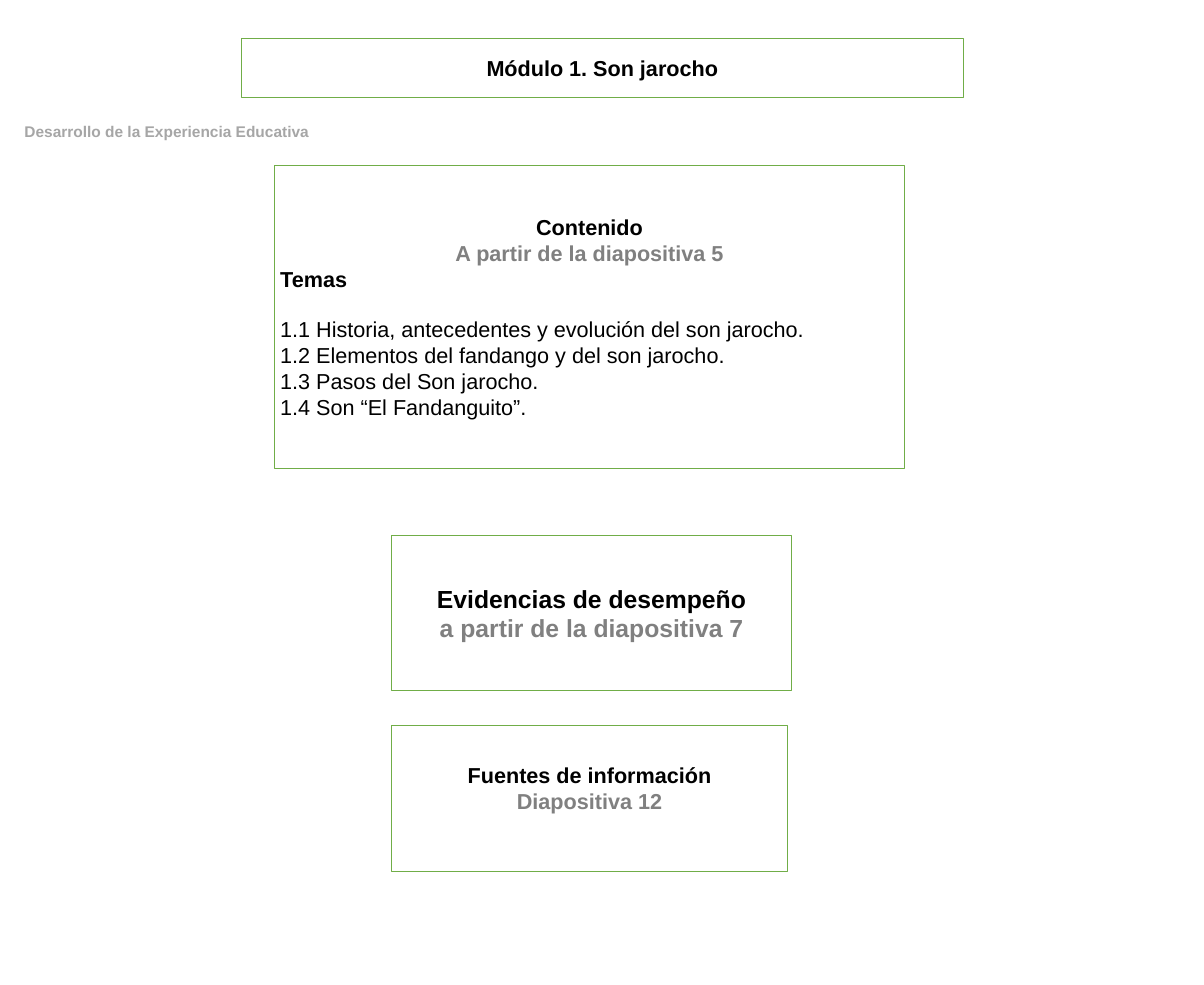
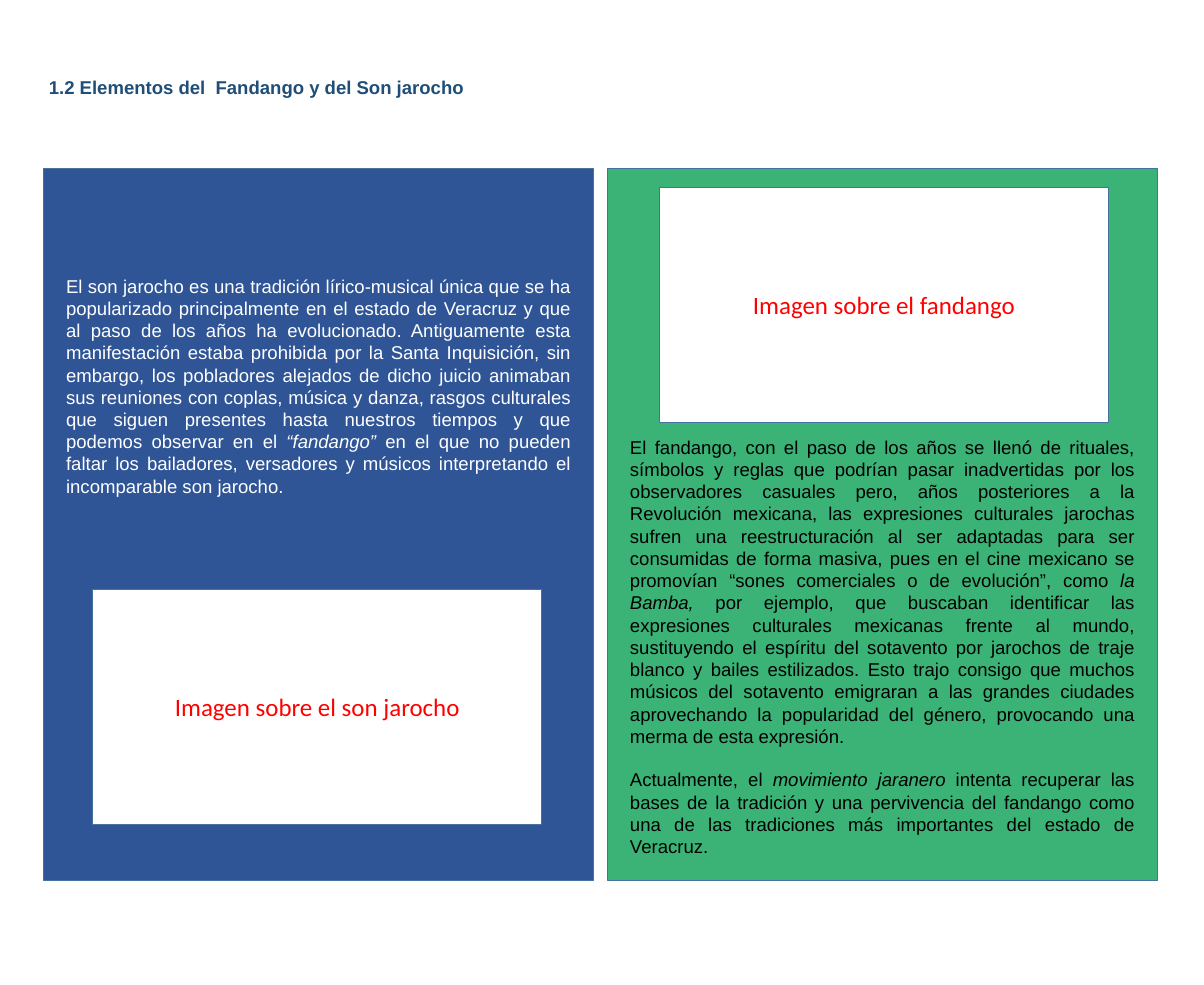
from dataclasses import dataclass

from pptx import Presentation
from pptx.dml.color import RGBColor
from pptx.enum.shapes import MSO_SHAPE
from pptx.enum.text import MSO_ANCHOR, PP_ALIGN
from pptx.util import Pt

PX = 9144  # EMU per px, 100 px to the inch
SLIDE_W, SLIDE_H = 2165, 1772

WHITE = RGBColor(0xFF, 0xFF, 0xFF)
BLACK = RGBColor(0x00, 0x00, 0x00)
GRAY = RGBColor(0x80, 0x80, 0x80)
LIGHT_GRAY = RGBColor(0xA6, 0xA6, 0xA6)
RED = RGBColor(0xFF, 0x00, 0x00)
NAVY = RGBColor(0x1F, 0x4E, 0x79)
BLUE = RGBColor(0x2F, 0x55, 0x97)
GREEN = RGBColor(0x3B, 0xB3, 0x77)
GREEN_EDGE = RGBColor(0x70, 0xAD, 0x47)
BLUE_EDGE = RGBColor(0x43, 0x73, 0x9E)


@dataclass
class Line:
    """One paragraph; words between asterisks are italic."""
    text: str
    size: float
    color: RGBColor = BLACK
    bold: bool = False
    align: PP_ALIGN = PP_ALIGN.CENTER
    before: float = 0
    face: str = "Arial"


def write(shape, lines):
    frame = shape.text_frame
    frame.word_wrap = True
    frame.vertical_anchor = MSO_ANCHOR.MIDDLE
    for index, line in enumerate(lines):
        paragraph = frame.paragraphs[0] if index == 0 else frame.add_paragraph()
        paragraph.alignment = line.align
        if line.before:
            paragraph.space_before = Pt(line.before)
        paragraph.font.name = line.face
        paragraph.font.size = Pt(line.size)
        paragraph.font.bold = line.bold
        paragraph.font.color.rgb = line.color
        for position, part in enumerate(line.text.split("*")):
            run = paragraph.add_run()
            run.text = part
            if position % 2:
                run.font.italic = True


def add_text(slide, box, lines):
    write(slide.shapes.add_textbox(*(v * PX for v in box)), lines)


def add_frame(slide, box, edge, fill=WHITE, lines=()):
    frame = slide.shapes.add_shape(MSO_SHAPE.RECTANGLE, *(v * PX for v in box))
    frame.shadow.inherit = False
    frame.fill.solid()
    frame.fill.fore_color.rgb = fill
    frame.line.color.rgb = edge
    frame.line.width = Pt(1)
    write(frame, lines)
    return frame


def heading_pair(heading, reference, size):
    return [Line(heading, size, bold=True), Line(reference, size, GRAY, bold=True)]


def build_module_index(slide):
    # Module title and section label
    add_frame(slide, (434, 69, 1298, 107), GREEN_EDGE,
              lines=[Line("Módulo 1. Son jarocho", 28, bold=True)])
    add_text(slide, (0, 212, 600, 50),
             [Line("Desarrollo de la Experiencia Educativa", 20, LIGHT_GRAY, bold=True)])

    # Contents
    topics = [
        "1.1 Historia, antecedentes y evolución del son jarocho.",
        "1.2 Elementos del fandango y del son jarocho.",
        "1.3 Pasos del Son jarocho.",
        "1.4 Son “El Fandanguito”.",
    ]
    contents = heading_pair("Contenido", "A partir de la diapositiva 5", 28)
    contents.append(Line("Temas", 28, bold=True, align=PP_ALIGN.LEFT))
    contents += [Line(topic, 28, align=PP_ALIGN.LEFT, before=0 if i else 32.2)
                 for i, topic in enumerate(topics)]
    add_frame(slide, (494, 297, 1132, 546), GREEN_EDGE, lines=contents)

    # Sources, set a little above the middle, and evidence
    sources = add_frame(slide, (704, 1305, 712, 263), GREEN_EDGE,
                        lines=heading_pair("Fuentes de información", "Diapositiva 12", 28))
    sources.text_frame.margin_bottom = 43 * PX
    add_frame(slide, (704, 964, 720, 278), GREEN_EDGE,
              lines=heading_pair("Evidencias de desempeño", "a partir de la diapositiva 7", 32))


def add_panel(slide, box, fill, body, body_top, body_height, color,
              caption, caption_left, caption_top):
    """Coloured panel with running text and a captioned image frame."""
    left, top, width, height = box
    inset = 31
    add_frame(slide, box, BLUE_EDGE, fill)
    add_text(slide, (left + inset, top + body_top, width - 2 * inset, body_height),
             [Line(text, 24, color, align=PP_ALIGN.JUSTIFY, before=27.6 if i else 0)
              for i, text in enumerate(body)])
    add_frame(slide, (left + caption_left, top + caption_top, 807, 423), BLUE_EDGE,
              lines=[Line(caption, 32.3, RED, face="Calibri")])


def build_topic(slide):
    left, top, width, height, gap = 78, 303, 989, 1280, 25
    add_text(slide, (left, 100, 2 * width + gap, 113),
             [Line("1.2 Elementos del  Fandango y del Son jarocho", 24, NAVY,
                   bold=True, align=PP_ALIGN.JUSTIFY)])

    # Son jarocho
    son_jarocho = [
        "El son jarocho es una tradición lírico-musical única que se ha popularizado "
        "principalmente en el estado de Veracruz y que al paso de los años ha "
        "evolucionado. Antiguamente esta manifestación estaba prohibida por la Santa "
        "Inquisición, sin embargo, los pobladores alejados de dicho juicio animaban sus "
        "reuniones con coplas, música y danza, rasgos culturales que siguen presentes "
        "hasta nuestros tiempos y que podemos observar en el *“fandango”* en el que no "
        "pueden faltar los bailadores, versadores y músicos interpretando el "
        "incomparable son jarocho.",
    ]
    add_panel(slide, (left, top, width, height), BLUE, son_jarocho, 181, 420, WHITE,
              "Imagen sobre el son jarocho", 89, 757)

    # Fandango
    fandango = [
        "El fandango, con el paso de los años se llenó de rituales, símbolos y reglas "
        "que podrían pasar inadvertidas por los observadores casuales pero, años "
        "posteriores a la Revolución mexicana, las expresiones culturales jarochas "
        "sufren una reestructuración al ser adaptadas para ser consumidas de forma "
        "masiva, pues en el cine mexicano se promovían “sones comerciales o de "
        "evolución”, como *la Bamba,* por ejemplo, que buscaban identificar las "
        "expresiones culturales mexicanas frente al mundo, sustituyendo el espíritu del "
        "sotavento por jarochos de traje blanco y bailes estilizados. Esto trajo consigo "
        "que muchos músicos del sotavento emigraran a las grandes ciudades aprovechando "
        "la popularidad del género, provocando una merma de esta expresión.",
        "Actualmente, el *movimiento jaranero* intenta recuperar las bases de la "
        "tradición y una pervivencia del fandango como una de las tradiciones más "
        "importantes del estado de Veracruz.",
    ]
    add_panel(slide, (left + width + gap, top, width, height), GREEN, fandango, 490, 740,
              BLACK, "Imagen sobre el fandango", 94, 34)


def main():
    deck = Presentation()
    deck.slide_width, deck.slide_height = SLIDE_W * PX, SLIDE_H * PX
    for build in (build_module_index, build_topic):
        build(deck.slides.add_slide(deck.slide_layouts[6]))
    deck.save("out.pptx")


if __name__ == "__main__":
    main()
